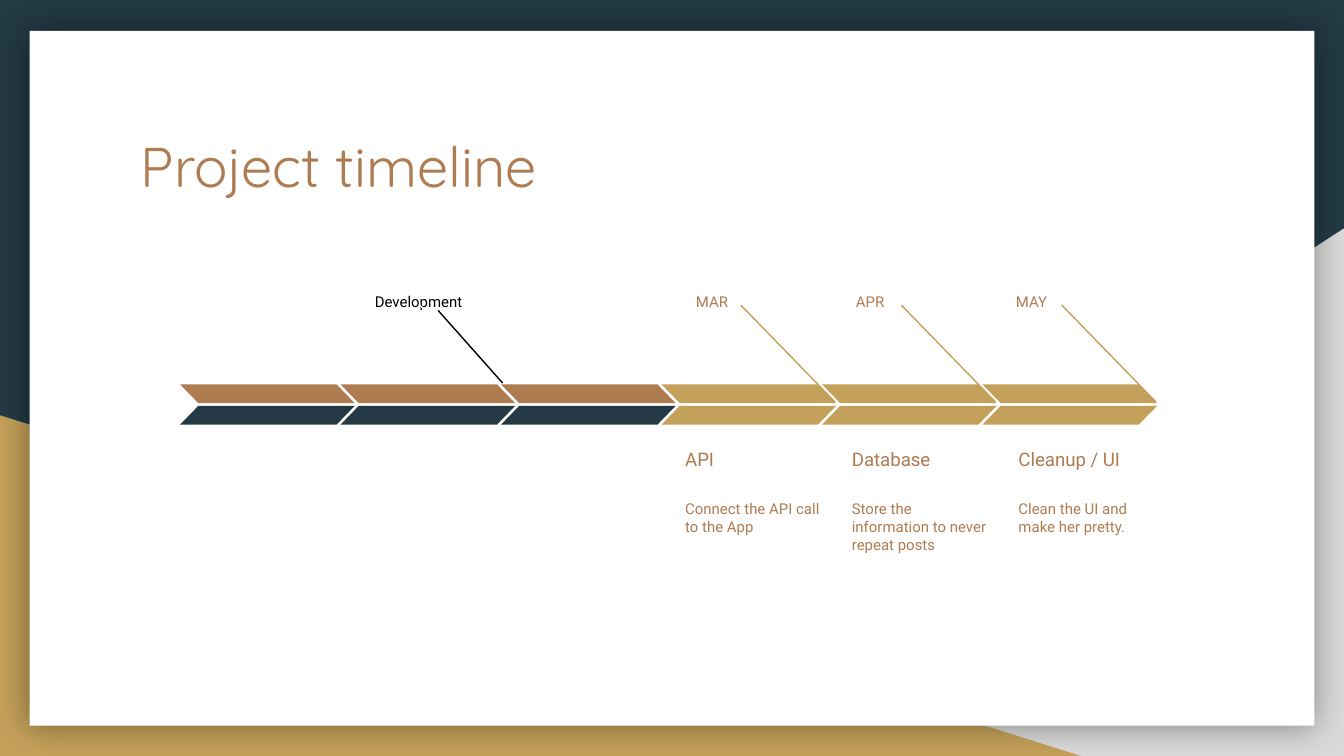
from lxml import etree
from pptx import Presentation
from pptx.dml.color import RGBColor
from pptx.enum import shapes, text
from pptx.oxml.ns import qn
from pptx.util import Inches, Pt


class Theme:
    navy = RGBColor.from_string("233A44")
    gold = RGBColor.from_string("C4A15A")
    brown = RGBColor.from_string("AF7B51")
    gray = RGBColor.from_string("D9D9D9")
    white = RGBColor.from_string("FFFFFF")
    black = RGBColor.from_string("000000")
    head, body = "Quicksand", "Roboto"
    title, name, small = Pt(30), Pt(10), Pt(8)


# Widescreen 16:9 page
deck = Presentation()
deck.slide_width = Inches(10)
deck.slide_height = Inches(10) * 9 // 16
slide = deck.slides.add_slide(deck.slide_layouts[6])
slide.background.fill.solid()
slide.background.fill.fore_color.rgb = Theme.navy
kind = shapes.MSO_SHAPE


def add_form(form, box, fill, flip=False):
    item = slide.shapes.add_shape(form, *map(Inches, box))
    item.shadow.inherit = False
    item.fill.solid()
    item.fill.fore_color.rgb = fill
    item.line.fill.background()
    if flip:
        item.element.spPr.find(qn("a:xfrm")).set("flipH", "1")
    return item


def add_note(words, box, size, color=Theme.brown, font=Theme.body, low=False):
    frame = slide.shapes.add_textbox(*map(Inches, box)).text_frame
    frame.word_wrap = True
    frame.auto_size = text.MSO_AUTO_SIZE.NONE
    frame.margin_left = frame.margin_right = frame.margin_top = Inches(0.1)
    frame.margin_bottom = Inches(0.1 if low else 0)
    frame.vertical_anchor = text.MSO_ANCHOR.BOTTOM if low else text.MSO_ANCHOR.TOP
    para = frame.paragraphs[0]
    para.text = words
    para.font.size, para.font.name = size, font
    para.font.color.rgb = color


# Backdrop triangles and white card
add_form(kind.RIGHT_TRIANGLE, (3.92, 1.7, 6.08, 3.93), Theme.gray, flip=True)
add_form(kind.RIGHT_TRIANGLE, (0, 3.09, 8.06, 2.54), Theme.gold)
card = add_form(kind.RECTANGLE, (0.22, 0.23, 9.56, 5.17), Theme.white)

# Soft shadow around the card
glow = etree.SubElement(card.element.spPr.find(qn("a:effectLst")), qn("a:outerShdw"),
                        blurRad=str(Pt(18)), dist="0", dir="0", rotWithShape="0")
tint = etree.SubElement(glow, qn("a:srgbClr"), val="000000")
etree.SubElement(tint, qn("a:alpha"), val="40000")

# Title and first phase
add_note("Project timeline", (0.95, 0.88, 8.21, 1.04), Theme.title, font=Theme.head)
add_note("Development", (2.69, 2.08, 1.15, 0.23), Theme.small, Theme.black)

# Months with their tasks
start, count = 1.34, 6
pitch = (7.31 - start) / (count - 1)
tasks = [
    ("MAR", "API", "Connect the API call to the App"),
    ("APR", "Database", "Store the information to never repeat posts"),
    ("MAY", "Cleanup / UI", "Clean the UI and make her pretty."),
]
for i, (month, name, detail) in enumerate(tasks):
    left = 5 + 1.24 * i
    add_note(month, (5.08 + 1.19 * i, 2.08, 0.59, 0.23), Theme.small)
    add_note(name, (left, 3.16, 1.24, 0.44), Theme.name, low=True)
    add_note(detail, (left, 3.62, 1.24, 0.73), Theme.small)

# Arrow band: a pointer and two mirrored halves per step
for i in range(count):
    left = start + pitch * i
    done = i < 3
    ends = (left + 0.59, 2.27, left + 1.29, 2.99)
    color = Theme.white if done else Theme.gold
    if i == 2:
        ends, color = (3.26, 2.31, 3.74, 2.85), Theme.black
    line = slide.shapes.add_connector(shapes.MSO_CONNECTOR.STRAIGHT, *map(Inches, ends))
    line.line.color.rgb = color
    line.line.width = Pt(0.75)
    etree.SubElement(line.element.spPr, qn("a:effectLst"))
    for top, fill in ((2.86, Theme.brown), (3.02, Theme.navy)):
        half = add_form(kind.PARALLELOGRAM, (left, top, 1.3, 0.14),
                        fill if done else Theme.gold, flip=top < 3)
        half.adjustments[0] = 0.97

deck.save("out.pptx")
